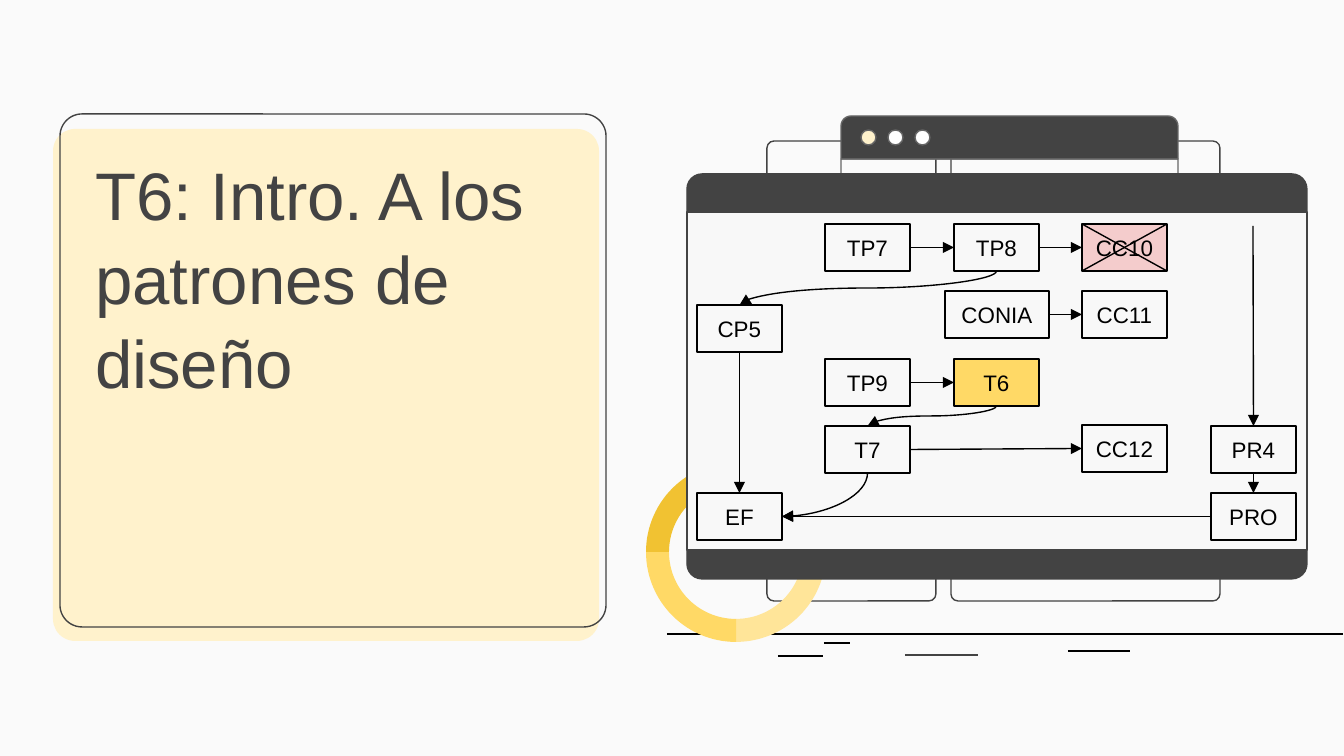
from math import cos, radians, sin

from lxml.etree import SubElement
from pptx import Presentation
from pptx.dml.color import RGBColor
from pptx.enum.shapes import MSO_CONNECTOR as Link, MSO_SHAPE as Shape
from pptx.enum.text import MSO_ANCHOR as Anchor, PP_ALIGN as Align
from pptx.oxml.ns import qn
from pptx.util import Pt

PX = 914400 / 134.4
FONT = "Arial"
BACKDROP = RGBColor(0xFA, 0xFA, 0xFA)
PANEL = RGBColor(0xF8, 0xF8, 0xF8)
WHITE = RGBColor(0xFF, 0xFF, 0xFF)
BLACK = RGBColor(0, 0, 0)
DARK = RGBColor(0x43, 0x43, 0x43)
GREY = RGBColor(0x66, 0x66, 0x66)
CREAM = RGBColor(0xFF, 0xF2, 0xCC)
PALE = RGBColor(0xFF, 0xE5, 0x99)
YELLOW = RGBColor(0xFF, 0xD9, 0x66)
GOLD = RGBColor(0xF1, 0xC2, 0x32)
PINK = RGBColor(0xF4, 0xCC, 0xCC)
TOP, LEFT, BOTTOM, RIGHT = range(4)
BOX_WIDTH, BOX_HEIGHT = 85, 47

# name: column, row, then fill, downward shift and extra width
TOPICS = {
    "TP7": (1, 0), "TP8": (2, 0), "CC10": (3, 0, PINK),
    "CP5": (0, 1, None, 14), "CONIA": (2, 1, None, 0, 19), "CC11": (3, 1),
    "TP9": (1, 2), "T6": (2, 2, YELLOW),
    "T7": (1, 3), "CC12": (3, 3, None, -1), "PR4": (4, 3),
    "EF": (0, 4), "PRO": (4, 4),
}
STRAIGHT_LINKS = [
    ("TP7", RIGHT, "TP8", LEFT), ("TP8", RIGHT, "CC10", LEFT),
    ("CONIA", RIGHT, "CC11", LEFT), ("TP9", RIGHT, "T6", LEFT),
    ("T7", RIGHT, "CC12", LEFT), ("PRO", LEFT, "EF", RIGHT),
    ("CP5", BOTTOM, "EF", TOP), ("PR4", BOTTOM, "PRO", TOP),
]


def px(length):
    return round(length * PX)


def paint(shape, fill=None, line=None):
    shape.shadow.inherit = False
    if fill is None:
        shape.fill.background()
    else:
        shape.fill.solid()
        shape.fill.fore_color.rgb = fill
    if line is None:
        shape.line.fill.background()
    else:
        shape.line.color.rgb = line
        shape.line.width = Pt(0.75)


def add_shape(page, kind, bounds, fill=None, line=None, radii=()):
    """Add a preset shape; radii are corner radii in px."""
    shape = page.shapes.add_shape(kind, *map(px, bounds))
    for index, radius in enumerate(radii):
        shape.adjustments[index] = radius / min(bounds[2:])
    paint(shape, fill, line)
    return shape


def add_line(page, start, end, color=BLACK, arrow=False, kind=Link.STRAIGHT):
    line = page.shapes.add_connector(kind, *map(px, (*start, *end)))
    line.line.color.rgb = color
    line.line.width = Pt(0.75)
    properties = line._element.spPr
    if arrow:
        SubElement(properties.find(qn("a:ln")), qn("a:tailEnd"), type="triangle")
    SubElement(properties, qn("a:effectLst"))
    return line


def add_falling_curve(page, start, end, preset="curvedConnector3"):
    """Curve that leaves downwards and ends lower on the left."""
    curve = add_line(page, start, end, arrow=True, kind=Link.CURVE)
    properties = curve._element.spPr
    properties.find(qn("a:prstGeom")).set("prst", preset)
    frame = properties.find(qn("a:xfrm"))
    frame.attrib.pop("flipH", None)
    frame.set("rot", str(90 * 60000))
    across, down = start[0] - end[0], end[1] - start[1]
    curve.left = px((start[0] + end[0] - down) / 2)
    curve.top = px((start[1] + end[1] - across) / 2)
    curve.width, curve.height = px(down), px(across)


def add_ring_part(page, first, last, color):
    """Part of the ring between two angles, clockwise from the right."""
    center_x, center_y, outer, inner = 736, 552, 90, 67
    angles = range(first, last + 1, 3)
    arcs = [(outer, angle) for angle in angles]
    arcs += [(inner, angle) for angle in reversed(angles)]
    points = [(px(center_x + radius * cos(radians(angle))),
               px(center_y + radius * sin(radians(angle))))
              for radius, angle in arcs]
    builder = page.shapes.build_freeform(*points[0])
    builder.add_line_segments(points[1:], close=True)
    paint(builder.convert_to_shape(), color)


def write(shape, text, size, color, anchor, align):
    frame = shape.text_frame
    frame.word_wrap = True
    frame.vertical_anchor = anchor
    frame.margin_left = frame.margin_right = px(13)
    frame.margin_top = frame.margin_bottom = px(13)
    para = frame.paragraphs[0]
    para.text = text
    para.alignment = align
    para.font.name = FONT
    para.font.size = Pt(size)
    para.font.color.rgb = color
    return para


def add_topic(page, name, column, row, fill=None, shift=0, extra=0):
    left = 697 + 257 * column // 2 - extra // 2
    top = 224 + round(67.3 * row) + shift
    bounds = left, top, BOX_WIDTH + extra, BOX_HEIGHT
    box = add_shape(page, Shape.RECTANGLE, bounds, fill, BLACK)
    write(box, name, 12, BLACK, Anchor.MIDDLE, Align.CENTER)
    return box


def middle(box, side):
    """Middle of a side of the box, in px."""
    x = {LEFT: 0, RIGHT: 1}.get(side, 0.5)
    y = {TOP: 0, BOTTOM: 1}.get(side, 0.5)
    return (box.left + x * box.width) / PX, (box.top + y * box.height) / PX


def add_title(page):
    rounded = Shape.ROUNDED_RECTANGLE
    add_shape(page, rounded, (53, 129, 546, 512), CREAM, radii=[22])
    add_shape(page, rounded, (60, 114, 546, 513), line=DARK, radii=[22])
    title = page.shapes.add_textbox(*map(px, (82, 253, 509, 162)))
    para = write(title, "T6: Intro. A los patrones de diseño", 36, DARK,
                 Anchor.BOTTOM, Align.LEFT)
    para.line_spacing = 1.04


def add_windows(page):
    for left, right, y, color in [
            (667, 1343, 634, BLACK), (778, 823, 656, BLACK),
            (905, 978, 655, DARK), (824, 850, 643, BLACK),
            (1068, 1130, 651, BLACK)]:
        add_line(page, (left, y), (right, y), color)
    rounded, half_rounded = Shape.ROUNDED_RECTANGLE, Shape.ROUND_2_SAME_RECTANGLE
    for left, width in [(767, 169), (951, 269)]:
        add_shape(page, rounded, (left, 141, width, 460), line=DARK, radii=[7])
    add_shape(page, half_rounded, (841, 116, 337, 43), DARK, GREY, [10, 0])
    for index, color in enumerate([CREAM, WHITE, WHITE]):
        add_shape(page, Shape.OVAL, (861 + 27 * index, 130, 15, 15), color, GREY)
    add_shape(page, half_rounded, (841, 159, 337, 220), line=GREY, radii=[0, 10])
    for first, last, color in [(-60, 90, PALE), (90, 180, YELLOW), (180, 300, GOLD)]:
        add_ring_part(page, first, last, color)
    add_shape(page, rounded, (687, 174, 620, 405), DARK, DARK, [15])
    add_shape(page, Shape.RECTANGLE, (687, 212, 620, 338), PANEL, DARK)


def add_topic_map(page):
    boxes = {name: add_topic(page, name, *place) for name, place in TOPICS.items()}
    for source, side, target, target_side in STRAIGHT_LINKS:
        start, end = boxes[source], boxes[target]
        line = add_line(page, middle(start, side), middle(end, target_side), arrow=True)
        line.begin_connect(start, side)
        line.end_connect(end, target_side)
    for source, target in [("TP8", "CP5"), ("T6", "T7")]:
        add_falling_curve(page, middle(boxes[source], BOTTOM), middle(boxes[target], TOP))
    add_falling_curve(page, middle(boxes["T7"], BOTTOM), middle(boxes["EF"], RIGHT),
                      "curvedConnector2")
    entry = add_line(page, (1253, 226), middle(boxes["PR4"], TOP), arrow=True)
    entry.end_connect(boxes["PR4"], TOP)
    left, top = 1082, 224
    right, bottom = left + BOX_WIDTH, top + BOX_HEIGHT
    add_line(page, (left, top), (right, bottom))
    add_line(page, (left, bottom), (right, top))


def main():
    deck = Presentation()
    deck.slide_width, deck.slide_height = px(1344), px(756)
    page = deck.slides.add_slide(deck.slide_layouts[6])
    page.background.fill.solid()
    page.background.fill.fore_color.rgb = BACKDROP
    add_title(page)
    add_windows(page)
    add_topic_map(page)
    deck.save("out.pptx")


if __name__ == "__main__":
    main()
